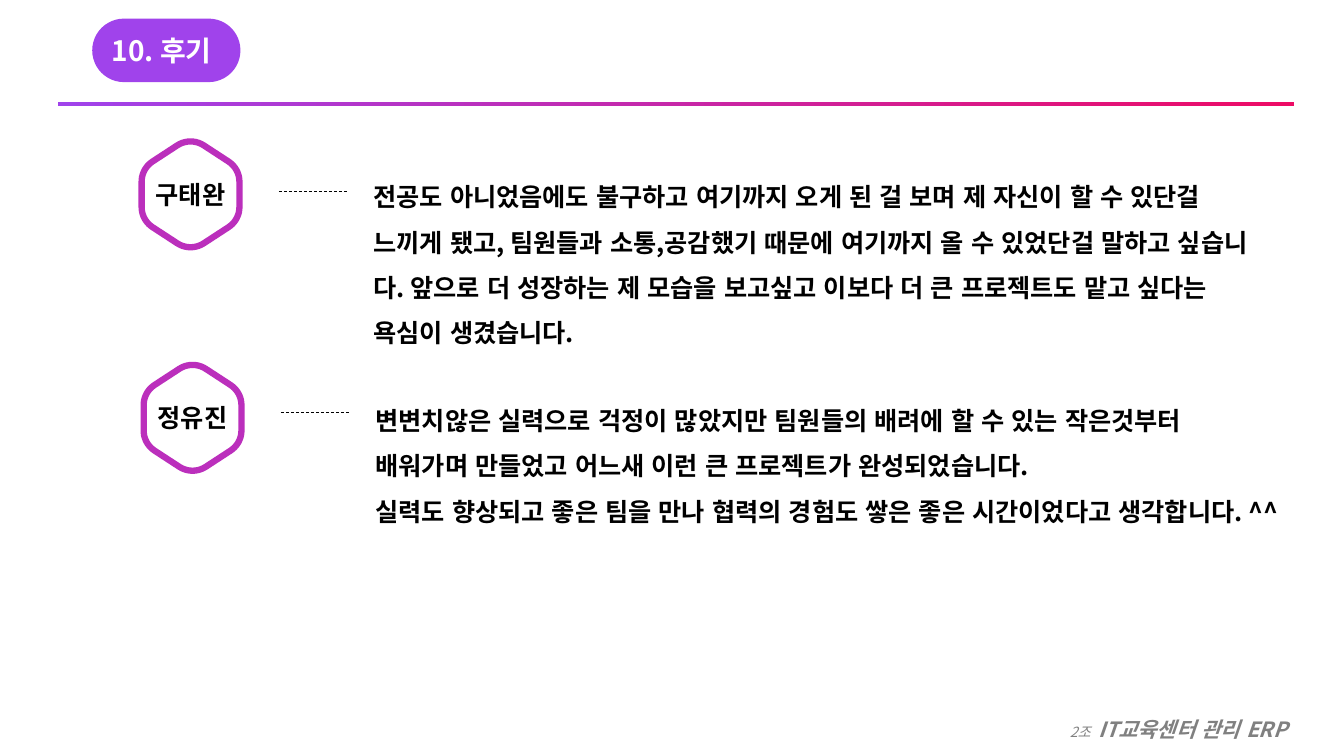
from math import atan2, cos, degrees, radians, sin
from typing import NamedTuple

from lxml import etree
from pptx import Presentation, util as u
from pptx.dml.color import RGBColor
from pptx.enum import dml, lang, shapes, text
from pptx.oxml.ns import qn

UNIT = u.Inches(0.1)
FACE = "Noto Sans CJK KR"
PURPLE, PINK, VIOLET = "A043EB", "ED0B65", "BB2FBC"
BLACK, WHITE, GRAY = "000000", "FFFFFF", "808080"
ROUND = 2.4
HUBS = [(0, -2.85), (2.45, -1.25), (2.45, 1.25), (0, 2.85), (-2.45, 1.25), (-2.45, -1.25)]


class Box(NamedTuple):
    col: float
    row: float
    cols: float
    rows: float


class Review(NamedTuple):
    name: str
    col: float
    row: float
    dash: float
    words: str


REVIEWS = [
    Review("구태완", 18.9, 19.28, 19,
           "전공도 아니었음에도 불구하고 여기까지 오게 된 걸 보며 제 자신이 할 수 있단걸 "
           "느끼게 됐고, 팀원들과 소통,공감했기 때문에 여기까지 올 수 있었단걸 말하고 싶습니다. "
           "앞으로 더 성장하는 제 모습을 보고싶고 이보다 더 큰 프로젝트도 맡고 싶다는 욕심이 생겼습니다."),
    Review("정유진", 19.1, 41.45, 40.9,
           "변변치않은 실력으로 걱정이 많았지만 팀원들의 배려에 할 수 있는 작은것부터 "
           "배워가며 만들었고 어느새 이런 큰 프로젝트가 완성되었습니다.\n"
           "실력도 향상되고 좋은 팀을 만나 협력의 경험도 쌓은 좋은 시간이었다고 생각합니다. ^^"),
]


def tint(code: str) -> RGBColor:
    return RGBColor.from_string(code)


def grid(*vals: float) -> list[int]:
    return [round(val * UNIT) for val in vals]


def style(run, size: float, color: str, bold: bool = True, slant: bool = False) -> None:
    font = run.font
    font.size, font.bold, font.italic = u.Pt(size), bold, slant
    font.color.rgb = tint(color)
    font.name = FACE
    font.language_id = lang.MSO_LANGUAGE_ID.KOREAN


def write(shape, words: str, size: float, color: str, align, gap: float = 1) -> None:
    frame = shape.text_frame
    frame.word_wrap = True
    frame.text = words
    for para in frame.paragraphs:
        para.alignment, para.line_spacing = align, gap
        for run in para.runs:
            style(run, size, color)


def panel(slide, kind, box: Box):
    shape = slide.shapes.add_shape(kind, *grid(*box))
    shape.shadow.inherit = False
    shape.line.fill.background()
    return shape


def note(slide, box: Box):
    shape = slide.shapes.add_textbox(*grid(*box))
    shape.text_frame.word_wrap = True
    shape.text_frame.auto_size = text.MSO_AUTO_SIZE.SHAPE_TO_FIT_TEXT
    return shape


def outline(col: float, row: float) -> list[list[int]]:
    lean = degrees(atan2(1.6, 2.45))
    turns = [-lean, lean, 90, 180 - lean, 180 + lean, 270, 360 - lean]
    points = []
    for (dx, dy), start, end in zip(HUBS, turns, turns[1:]):
        for step in range(11):
            turn = radians(start + (end - start) * step / 10)
            points.append(grid(col + dx + ROUND * sin(turn), row + dy - ROUND * cos(turn)))
    return points


def badge(slide, item: Review) -> None:
    first, *rest = outline(item.col, item.row)
    pen = slide.shapes.build_freeform(*first, scale=1.0)
    pen.add_line_segments(rest, close=True)
    shape = pen.convert_to_shape()
    shape.shadow.inherit = False
    shape.fill.background()
    shape.line.color.rgb, shape.line.width = tint(VIOLET), u.Pt(4.5)
    shape.text_frame.vertical_anchor = text.MSO_ANCHOR.MIDDLE
    write(shape, item.name, 18, BLACK, text.PP_ALIGN.CENTER)


def leader(slide, item: Review) -> None:
    ends = grid(item.col + 8.75, item.dash, item.col + 15.6, item.dash)
    link = slide.shapes.add_connector(shapes.MSO_CONNECTOR.STRAIGHT, *ends)
    link.line.color.rgb, link.line.width = tint(BLACK), u.Pt(0.5)
    link.line.dash_style = dml.MSO_LINE.DASH
    etree.SubElement(link._element.spPr, qn("a:effectLst"))


def footer(slide) -> None:
    para = note(slide, Box(99.75, 68.25, 28.9, 5.4)).text_frame.paragraphs[0]
    para.alignment, para.line_spacing = text.PP_ALIGN.RIGHT, 1.5
    for words, size, bold in [("2조", 10, False), (" ", 20, False), ("IT교육센터 관리 ERP", 15, True)]:
        run = para.add_run()
        run.text = words
        style(run, size, GRAY, bold, True)


def header(slide) -> None:
    rule = panel(slide, shapes.MSO_SHAPE.RECTANGLE, Box(5.75, 10.1, 122.6, 0.4))
    rule.fill.gradient()
    rule.fill.gradient_angle = 0
    for stop, code, spot in zip(rule.fill.gradient_stops, (PURPLE, PINK), (0, 1)):
        stop.color.rgb, stop.position = tint(code), spot
    pill = panel(slide, shapes.MSO_SHAPE.ROUNDED_RECTANGLE, Box(9.15, 1.85, 14.7, 6.3))
    pill.adjustments[0] = 0.5
    pill.fill.solid()
    pill.fill.fore_color.rgb = tint(PURPLE)
    title = slide.shapes.title
    title.left, title.top, title.width, title.height = grid(10.07, 1.85, 12.9, 6.3)
    frame = title.text_frame
    frame.auto_size = text.MSO_AUTO_SIZE.NONE
    frame.vertical_anchor = text.MSO_ANCHOR.MIDDLE
    frame.margin_right = 0
    write(title, "10. 후기", 20, WHITE, text.PP_ALIGN.LEFT)
    frame.paragraphs[0].space_before = u.Pt(0)
    pill._element.addnext(title._element)


def main() -> None:
    deck = Presentation()
    deck.slide_width, deck.slide_height = u.Inches(13.33), u.Inches(7.5)
    slide = deck.slides.add_slide(deck.slide_layouts[5])
    footer(slide)
    header(slide)
    for item in REVIEWS:
        badge(slide, item)
        leader(slide, item)
        body = note(slide, Box(item.col + 17.15, item.row - 3.25, 91.5, 19.2))
        write(body, item.words, 18, BLACK, text.PP_ALIGN.LEFT, 1.5)
    deck.save("out.pptx")


if __name__ == "__main__":
    main()
